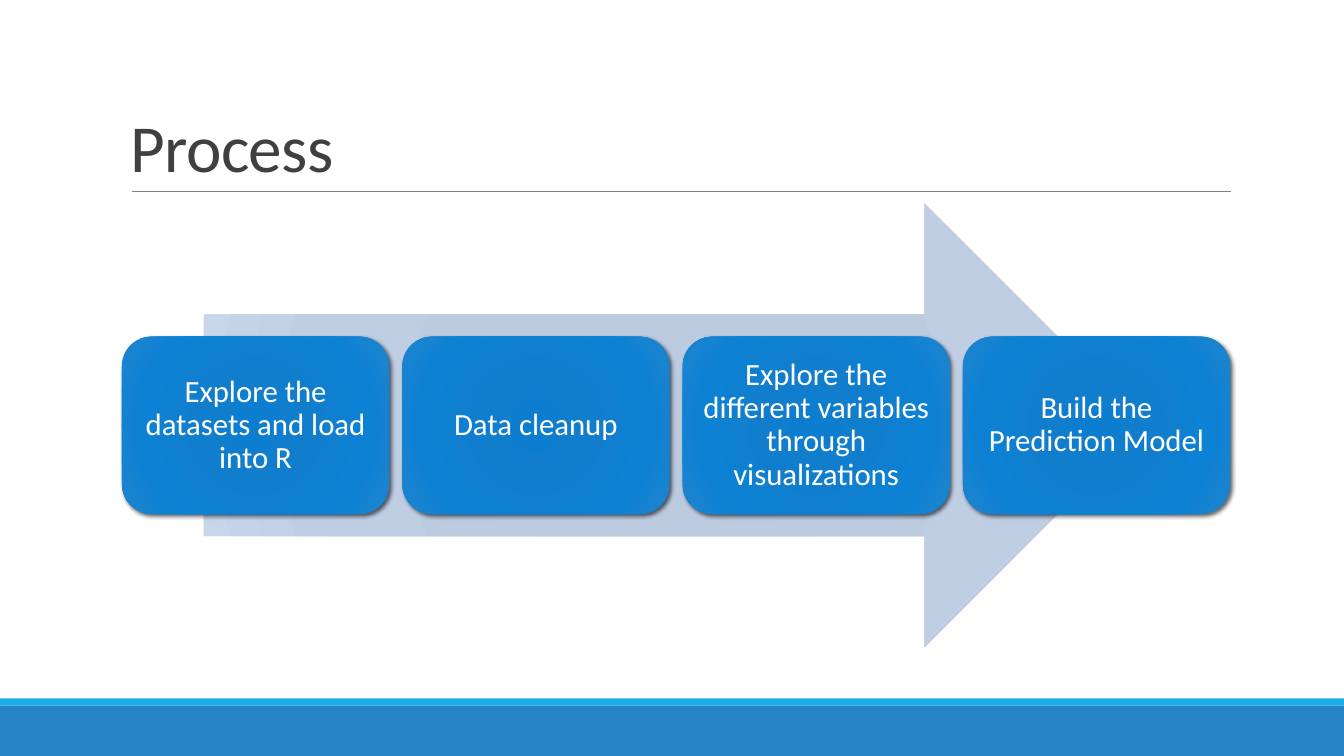
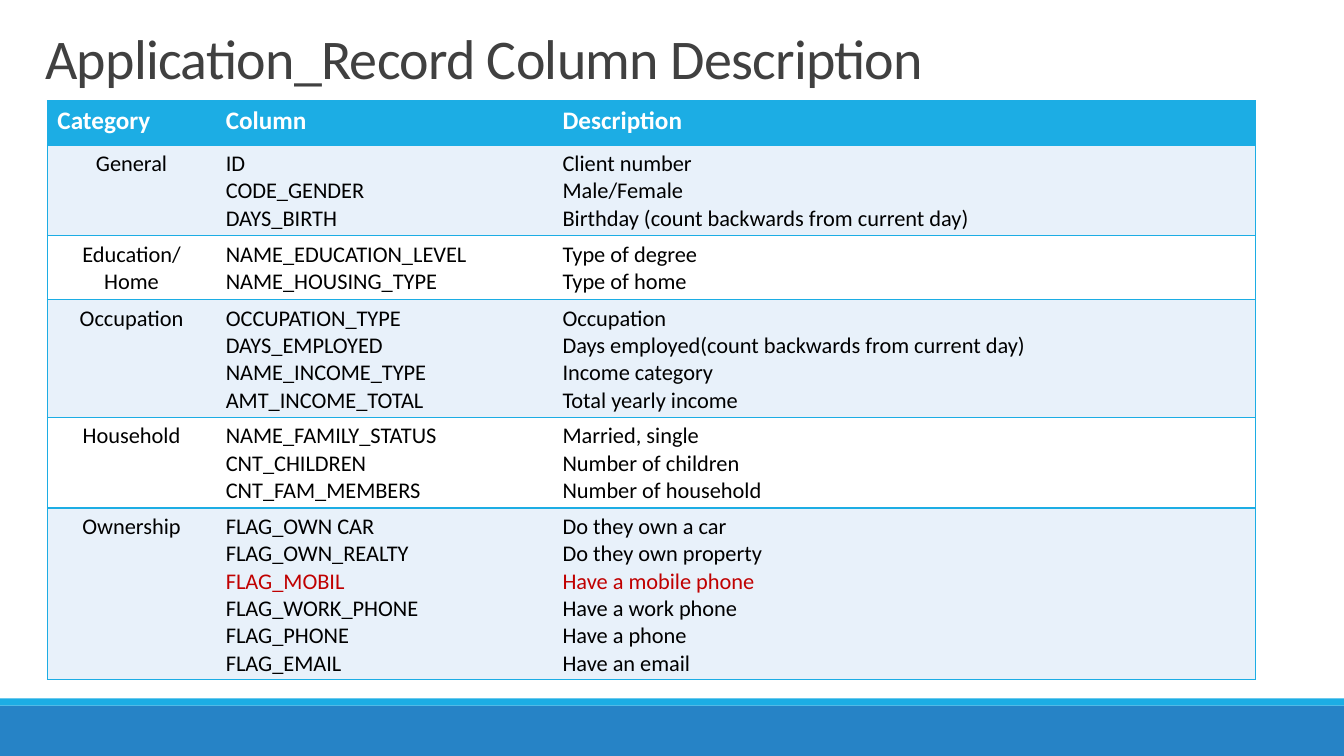
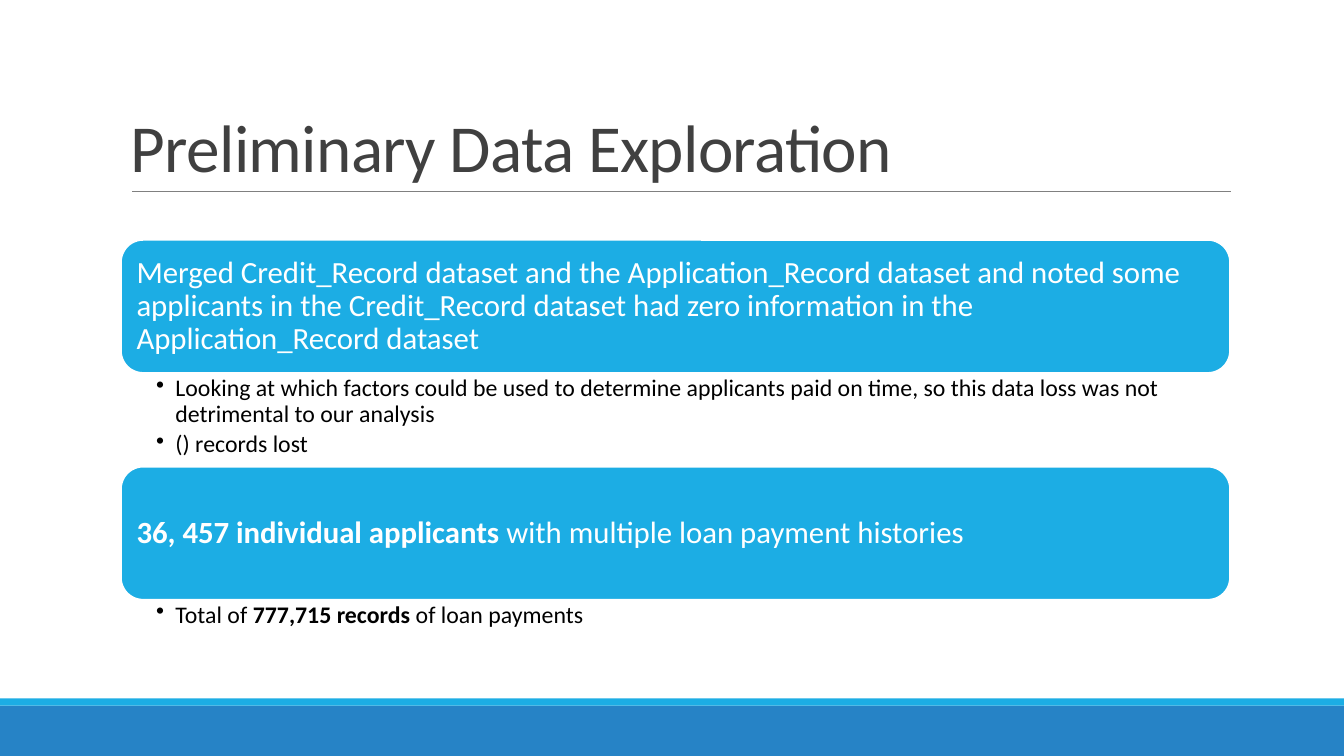
from pptx import Presentation
from pptx.dml.color import RGBColor
from pptx.enum.shapes import MSO_CONNECTOR, MSO_SHAPE
from pptx.enum.text import MSO_ANCHOR, PP_ALIGN
from pptx.oxml import parse_xml
from pptx.oxml.ns import nsdecls, qn
from pptx.util import Inches, Pt

RECTANGLE = MSO_SHAPE.RECTANGLE
ROUNDED = MSO_SHAPE.ROUNDED_RECTANGLE
RIGHT_ARROW = MSO_SHAPE.RIGHT_ARROW
STRAIGHT = MSO_CONNECTOR.STRAIGHT
TOP, MIDDLE, BOTTOM = MSO_ANCHOR.TOP, MSO_ANCHOR.MIDDLE, MSO_ANCHOR.BOTTOM
LEFT, CENTER = PP_ALIGN.LEFT, PP_ALIGN.CENTER

FONT = "Calibri"
WHITE, BLACK, RED = "FFFFFF", "000000", "C00000"
SKY, BLUE, PALE = "1CADE4", "2683C6", "E8F1FA"
TITLE_GRAY, RULE_GRAY = "404040", "808080"
ARROW_STOPS = [(0, "BBC9DE"), (34, "BDCBE0"), (70, "C0CEE4"), (100, "CBD8EC")]
STEP_STOPS = [(0, "0D7ECF"), (34, "117ECD"), (70, "0D81D4"), (100, "1E84CE")]

STEPS = [
    "Explore the datasets and load into R",
    "Data cleanup",
    "Explore the different variables through visualizations",
    "Build the Prediction Model",
]
COLUMN_WIDTHS = [1.67, 3.34, 6.97]
ROW_HEIGHTS = [0.44, 0.86, 0.61, 1.11, 0.86, 1.62]
COLUMN_ROWS = [
    (["Category"], ["Column"], ["Description"]),
    (["General"],
     ["ID", "CODE_GENDER", "DAYS_BIRTH"],
     ["Client number", "Male/Female", "Birthday (count backwards from current day)"]),
    (["Education/", "Home"],
     ["NAME_EDUCATION_LEVEL", "NAME_HOUSING_TYPE"],
     ["Type of degree", "Type of home"]),
    (["Occupation"],
     ["OCCUPATION_TYPE", "DAYS_EMPLOYED", "NAME_INCOME_TYPE", "AMT_INCOME_TOTAL"],
     ["Occupation", "Days employed(count backwards from current day)",
      "Income category", "Total yearly income"]),
    (["Household"],
     ["NAME_FAMILY_STATUS", "CNT_CHILDREN", "CNT_FAM_MEMBERS"],
     ["Married, single", "Number of children", "Number of household"]),
    (["Ownership"],
     ["FLAG_OWN CAR", "FLAG_OWN_REALTY", "FLAG_MOBIL", "FLAG_WORK_PHONE",
      "FLAG_PHONE", "FLAG_EMAIL"],
     ["Do they own a car", "Do they own property", "Have a mobile phone",
      "Have a work phone", "Have a phone", "Have an email"]),
]
RED_LINES = {"FLAG_MOBIL", "Have a mobile phone"}
FINDINGS = [
    (2.38, 0.92,
     [["Merged Credit_Record dataset and the Application_Record dataset and noted some "
       "applicants in the Credit_Record dataset had zero information in the "
       "Application_Record dataset"]],
     [["Looking at which factors could be used to determine applicants paid on time, "
       "so this data loss was not detrimental to our analysis"],
      ["() records lost"]]),
    (4.63, 0.4,
     [[("36, 457 individual applicants ", {"bold": True}),
       "with multiple loan payment histories"]],
     [["Total of ", ("777,715 records ", {"bold": True}), "of loan payments"]]),
]


def rgb(value):
    return RGBColor.from_string(value)


def write_text(frame, paragraphs, size, color, bold=False, align=LEFT, line_spacing=1.0,
               space_after=0, tracking=None, bullet=False):
    """Fill a frame; a paragraph is a list of runs, each a text or (text, changes)."""
    frame.word_wrap = True
    for index, runs in enumerate(paragraphs):
        paragraph = frame.paragraphs[0] if index == 0 else frame.add_paragraph()
        if bullet:
            properties = paragraph._p.get_or_add_pPr()
            properties.set("marL", str(Inches(0.19)))
            properties.set("indent", str(-Inches(0.19)))
            properties.append(parse_xml(f'<a:buChar {nsdecls("a")} char="•"/>'))
        paragraph.alignment = align
        paragraph.line_spacing = line_spacing
        paragraph.space_after = Pt(space_after)
        for item in runs:
            text, changes = (item, {}) if isinstance(item, str) else item
            run = paragraph.add_run()
            run.text = text
            run.font.name = FONT
            run.font.size = Pt(size)
            run.font.bold = changes.get("bold", bold)
            run.font.color.rgb = rgb(changes.get("color", color))
            if tracking is not None:
                run._r.get_or_add_rPr().set("spc", str(int(tracking * 100)))


def set_insets(frame, left, top, right, bottom):
    frame.margin_left, frame.margin_top = Inches(left), Inches(top)
    frame.margin_right, frame.margin_bottom = Inches(right), Inches(bottom)


def fill_radial(shape, stops):
    shape.fill.gradient()
    marks = "".join(f'<a:gs pos="{position * 1000}"><a:srgbClr val="{color}"/></a:gs>'
                    for position, color in stops)
    gradient = parse_xml(
        f'<a:gradFill {nsdecls("a")} rotWithShape="1"><a:gsLst>{marks}</a:gsLst>'
        '<a:path path="circle"><a:fillToRect l="100000" t="100000" r="100000" b="100000"/>'
        '</a:path></a:gradFill>')
    properties = shape._element.spPr
    properties.replace(properties.find(qn("a:gradFill")), gradient)


def add_shadow(shape):
    shape._element.spPr.find(qn("a:effectLst")).append(parse_xml(
        f'<a:outerShdw {nsdecls("a")} blurRad="{Pt(3)}" dist="{Pt(2)}" dir="2700000" '
        'algn="br" rotWithShape="0"><a:srgbClr val="000000"><a:alpha val="60000"/>'
        '</a:srgbClr></a:outerShdw>'))


def set_cell_borders(cell, sides):
    """Draw the given sides (of L, R, T, B) and clear the others."""
    properties = cell._tc.get_or_add_tcPr()
    for side in "LRTB":
        paint = (f'<a:solidFill><a:srgbClr val="{SKY}"/></a:solidFill>'
                 if side in sides else "<a:noFill/>")
        properties.append(parse_xml(
            f'<a:ln{side} {nsdecls("a")} w="{Pt(1)}">{paint}</a:ln{side}>'))


class Deck:
    def __init__(self):
        self.presentation = Presentation()
        self.presentation.slide_width = Inches(13.33)
        self.presentation.slide_height = Inches(7.5)
        self.slide = None

    def new_slide(self, title, box=(1.2, 0.31, 11, 1.59), size=48, rule=True):
        self.slide = self.presentation.slides.add_slide(self.presentation.slide_layouts[6])
        self.shape(RECTANGLE, (0, 7, 13.33, 0.5), fill=BLUE)
        self.shape(RECTANGLE, (0, 6.93, 13.33, 0.07), fill=SKY)
        if rule:
            self.line((1.31, 1.9), (12.21, 1.9))
        self.text(box, [[title]], anchor=BOTTOM, size=size, color=TITLE_GRAY,
                  line_spacing=0.85, tracking=-0.5)

    def shape(self, kind, box, fill=None, stops=None, outline=None):
        shape = self.slide.shapes.add_shape(kind, *map(Inches, box))
        shape.shadow.inherit = False
        if stops:
            fill_radial(shape, stops)
        else:
            shape.fill.solid()
            shape.fill.fore_color.rgb = rgb(fill)
        if outline:
            shape.line.color.rgb = rgb(outline)
            shape.line.width = Pt(1.25)
        else:
            shape.line.fill.background()
        return shape

    def line(self, start, end):
        line = self.slide.shapes.add_connector(STRAIGHT, *map(Inches, start + end))
        line.line.color.rgb = rgb(RULE_GRAY)
        line.line.width = Pt(0.5)
        line._element.spPr.append(parse_xml(f'<a:effectLst {nsdecls("a")}/>'))

    def text(self, box, paragraphs, insets=(0.1, 0.05, 0.1, 0.05), anchor=TOP, **style):
        frame = self.slide.shapes.add_textbox(*map(Inches, box)).text_frame
        set_insets(frame, *insets)
        frame.vertical_anchor = anchor
        write_text(frame, paragraphs, **style)

    def card(self, box, paragraphs, align=LEFT, **look):
        """A rounded box with large white text."""
        card = self.shape(ROUNDED, box, **look)
        set_insets(card.text_frame, 0.09, 0.09, 0.09, 0.09)
        card.text_frame.vertical_anchor = MIDDLE
        write_text(card.text_frame, paragraphs, size=22, color=WHITE, align=align,
                   line_spacing=0.9, space_after=7.7)
        return card

    def table(self, left, top, widths, heights, rows):
        table = self.slide.shapes.add_table(
            len(rows), len(widths), Inches(left), Inches(top),
            Inches(sum(widths)), Inches(sum(heights))).table
        table.first_row = table.horz_banding = False
        for column, width in zip(table.columns, widths):
            column.width = Inches(width)
        for row_index, (row, height) in enumerate(zip(rows, heights)):
            table.rows[row_index].height = Inches(height)
            header = row_index == 0
            fill = SKY if header else PALE if row_index % 2 else WHITE
            for column_index, lines in enumerate(row):
                cell = table.cell(row_index, column_index)
                set_cell_borders(cell, ("LTB", "TB", "TBR")[column_index])
                cell.fill.solid()
                cell.fill.fore_color.rgb = rgb(fill)
                paragraphs = [[(line, {"color": RED} if line in RED_LINES else {})]
                              for line in lines]
                write_text(cell.text_frame, paragraphs, size=18 if header else 16,
                           color=WHITE if header else BLACK, bold=header,
                           align=CENTER if column_index == 0 and not header else LEFT)


def build_process(deck):
    deck.new_slide("Process")
    deck.shape(RIGHT_ARROW, (2.02, 2.02, 9.35, 4.4), stops=ARROW_STOPS)
    for index, step in enumerate(STEPS):
        card = deck.card((1.21 + index * 2.78, 3.34, 2.65, 1.76), [[step]],
                         align=CENTER, stops=STEP_STOPS)
        add_shadow(card)


def build_columns(deck):
    deck.new_slide("Application_Record Column Description",
                   box=(0.35, 0, 12.9, 0.95), size=40, rule=False)
    deck.table(0.47, 1, COLUMN_WIDTHS, ROW_HEIGHTS, COLUMN_ROWS)


def build_exploration(deck):
    deck.new_slide("Preliminary Data Exploration")
    card_height = 1.32
    for top, notes_height, heading, notes in FINDINGS:
        deck.card((1.2, top, 11, card_height), heading, fill=SKY, outline=WHITE)
        deck.text((1.2, top + card_height, 11, notes_height), notes,
                  insets=(0.35, 0.03, 0.17, 0.03), size=17, color=BLACK,
                  line_spacing=0.9, space_after=3.4, bullet=True)


def main():
    deck = Deck()
    build_process(deck)
    build_columns(deck)
    build_exploration(deck)
    deck.presentation.save("out.pptx")


if __name__ == "__main__":
    main()
